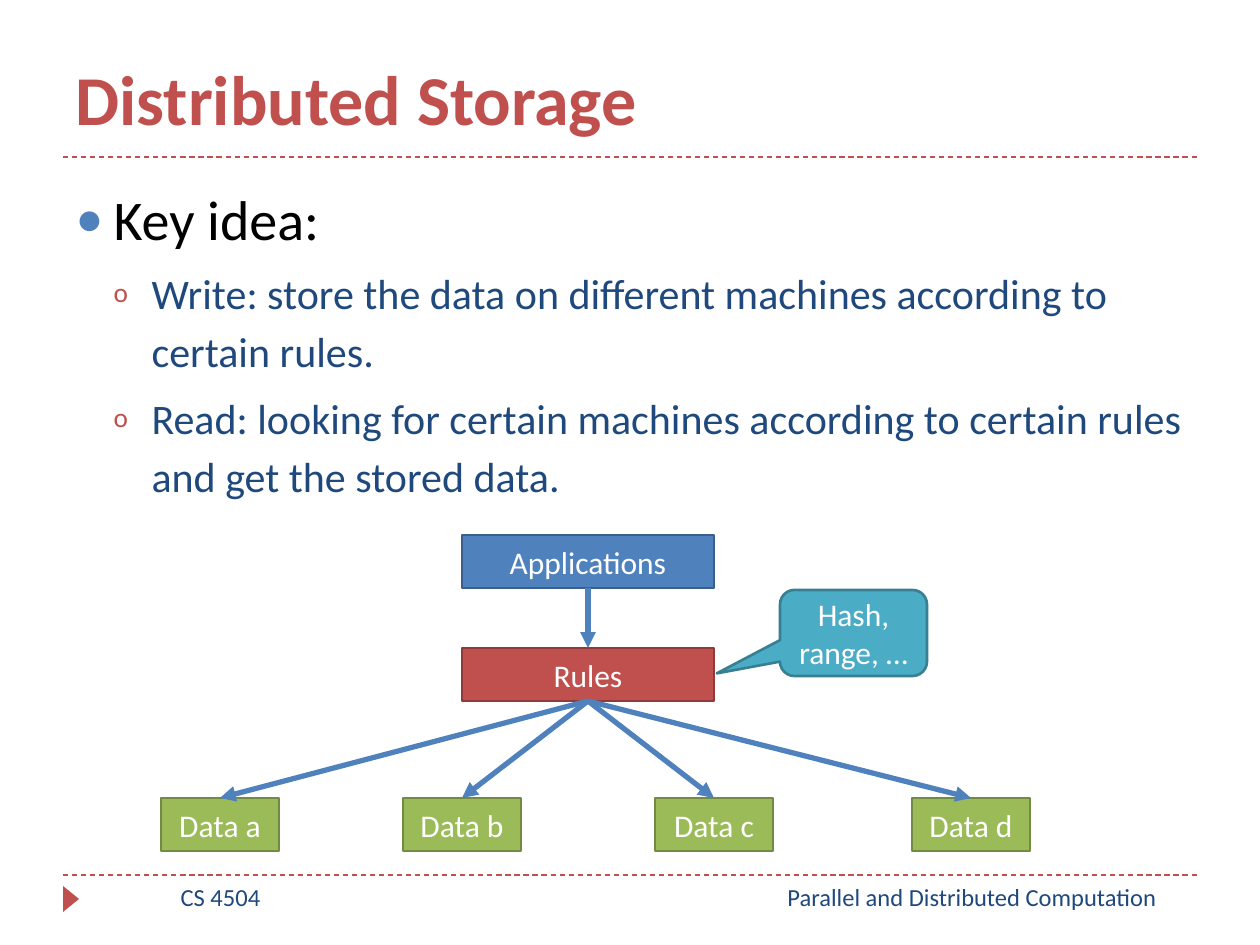
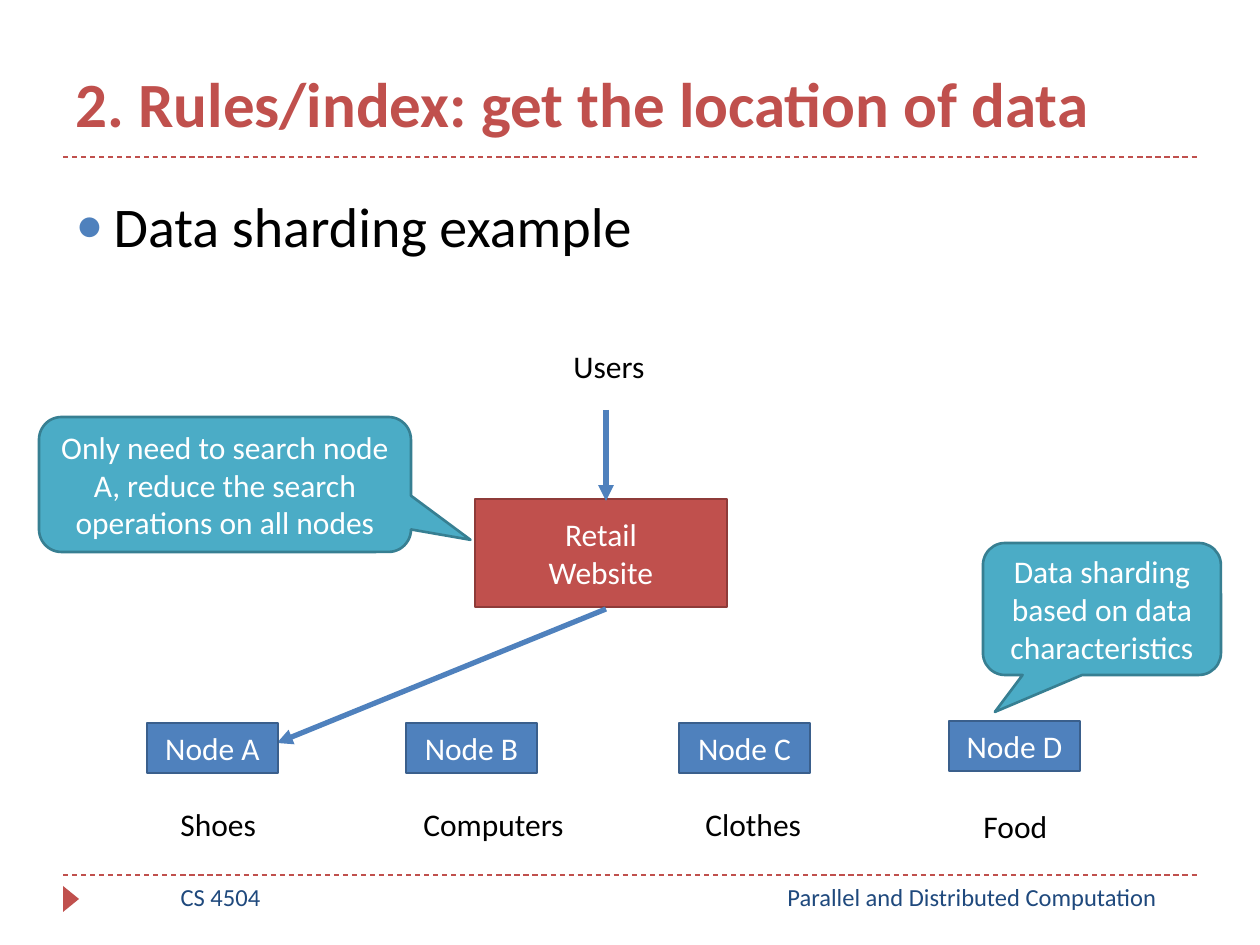
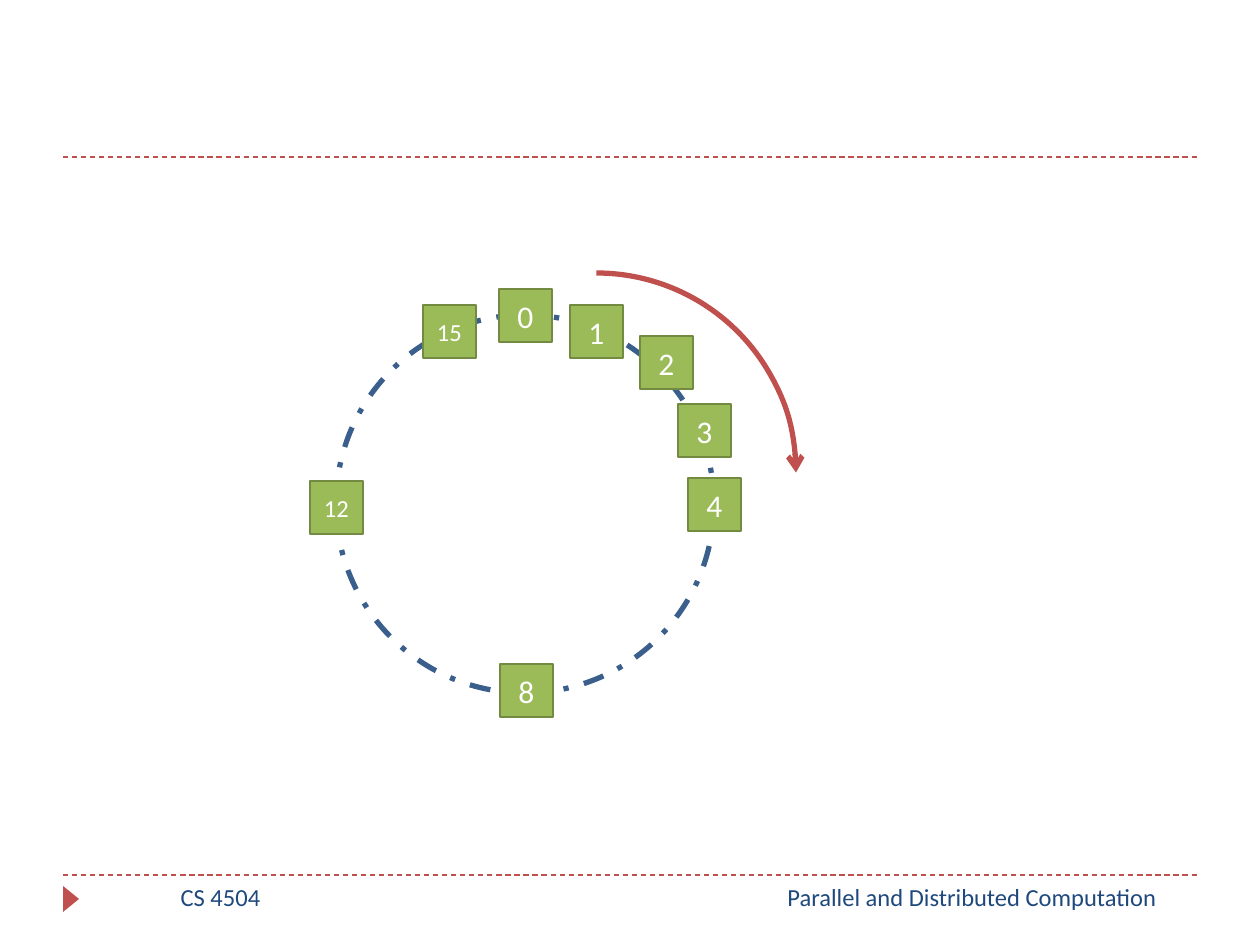
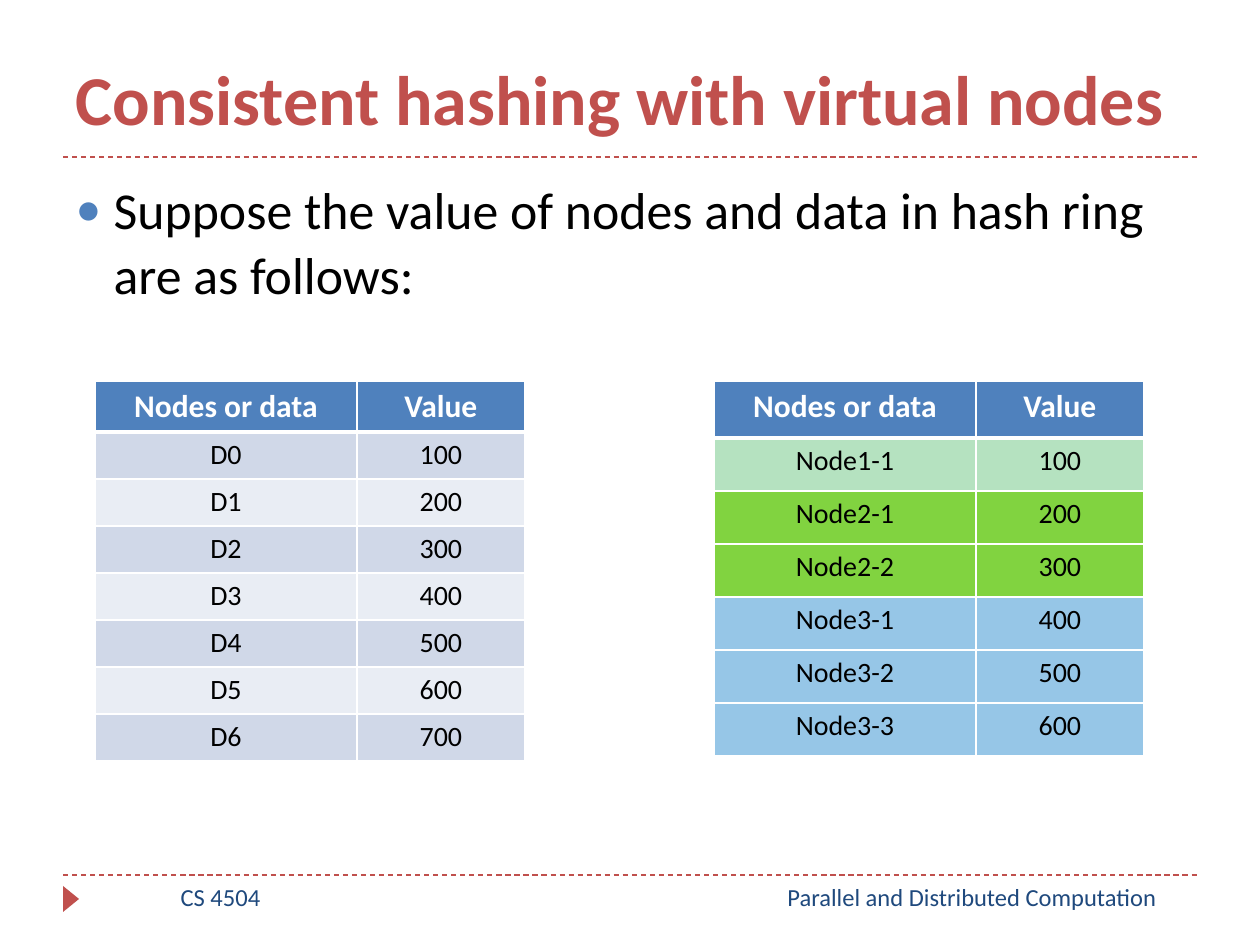
from dataclasses import dataclass
from typing import Any, NamedTuple

from lxml import etree
from pptx import Presentation, util as u
from pptx.dml.color import RGBColor
from pptx.enum import dml, shapes, text
from pptx.oxml import ns

PX_PER_INCH = 126
KIND = shapes.MSO_SHAPE


def px(length: float) -> int:
    """Turn px into EMU."""
    return round(length * 914400 / PX_PER_INCH)


# --- Theme -----------------------------------------------------------------
class Style(NamedTuple):
    fill: str
    outline: str


@dataclass(frozen=True)
class Theme:
    font: str = "Calibri"
    red: str = "C0504D"
    blue: str = "4F81BD"
    navy: str = "1F497D"
    black: str = "000000"
    white: str = "FFFFFF"
    blue_box: Style = Style("4F81BD", "3A5F8C")
    red_box: Style = Style("C0504D", "8E3B39")
    green_box: Style = Style("9BBB59", "738A42")
    teal_box: Style = Style("4BACC6", "377F92")
    bands: tuple[str, str] = ("D0D8E8", "E9EDF4")
    node_fills: tuple[str, str, str] = ("B5E2C0", "81D340", "96C6E7")
    title_size: float = 40
    long_title_size: float = 36
    bullet_size: float = 32
    long_bullet_size: float = 29.6
    sub_bullet_size: float = 24
    label_size: float = 18
    cell_size: float = 16
    small_size: float = 14
    outline_width: float = 1.5
    arrow_width: float = 3
    rule_width: float = 0.75


THEME = Theme()


# --- Repeated elements -----------------------------------------------------
class Frame(NamedTuple):
    left: int
    top: int
    width: int
    height: int

    def emu(self) -> list[int]:
        return [px(length) for length in self]


class Point(NamedTuple):
    x: int
    y: int


class Bullet(NamedTuple):
    words: str
    size: float
    level: int = 0


@dataclass(frozen=True)
class Box:
    words: str
    frame: Frame
    style: Style
    size: float = THEME.label_size
    kind: Any = KIND.RECTANGLE
    adjustments: tuple[float, ...] = ()


@dataclass(frozen=True)
class Label:
    words: str
    frame: Frame
    size: float = THEME.label_size
    color: str = THEME.black
    align: Any = text.PP_ALIGN.LEFT


@dataclass(frozen=True)
class ValueTable:
    left: int
    heights: tuple[int, int]  # header row, body row
    rows: list[tuple[str, str]]
    fills: list[str]


# --- Formatting helpers ----------------------------------------------------
def rgb(value: str) -> RGBColor:
    return RGBColor.from_string(value)


def assign(target: Any, values: dict[str, Any]) -> None:
    for name, value in values.items():
        setattr(target, name, value)


def add_xml(parent: Any, tag: str, **attributes: str) -> Any:
    child = etree.SubElement(parent, ns.qn(tag))
    for name, value in attributes.items():
        child.set(name, value)
    return child


def format_text(text_frame: Any, size: float, color: str, align: Any, bold: bool = False) -> None:
    for paragraph in text_frame.paragraphs:
        assign(paragraph, {"alignment": align, "space_before": u.Pt(0)})
        for run in paragraph.runs:
            assign(run.font, {"name": THEME.font, "size": u.Pt(size), "bold": bold})
            run.font.color.rgb = rgb(color)


def format_line(line: Any, color: str, width: float, dash: Any = None) -> None:
    line.color.rgb = rgb(color)
    assign(line, {"width": u.Pt(width), "dash_style": dash})


def add_arrowhead(shape: Any, head: str) -> None:
    add_xml(shape.line._get_or_add_ln(), "a:tailEnd", type=head)


# --- Drawing functions -----------------------------------------------------
def add_line(slide: Any, start: Point, end: Point, color: str, width: float, dash: Any = None) -> Any:
    ends = [px(value) for value in (*start, *end)]
    connector = slide.shapes.add_connector(shapes.MSO_CONNECTOR.STRAIGHT, *ends)
    format_line(connector.line, color, width, dash)
    add_xml(connector.element.spPr, "a:effectLst")
    return connector


def add_arrow(slide: Any, start: Point, end: Point) -> None:
    add_arrowhead(add_line(slide, start, end, THEME.blue, THEME.arrow_width), "triangle")


def add_plain_shape(slide: Any, kind: Any, frame: Frame, fill: str | None = None) -> Any:
    shape = slide.shapes.add_shape(kind, *frame.emu())
    shape.shadow.inherit = False
    if fill:
        shape.fill.solid()
        shape.fill.fore_color.rgb = rgb(fill)
    else:
        shape.fill.background()
    return shape


def add_box(slide: Any, box: Box) -> None:
    shape = add_plain_shape(slide, box.kind, box.frame, box.style.fill)
    format_line(shape.line, box.style.outline, THEME.outline_width)
    for index, value in enumerate(box.adjustments):
        shape.adjustments[index] = value
    assign(shape.text_frame, {"text": box.words, "word_wrap": True,
                              "vertical_anchor": text.MSO_ANCHOR.MIDDLE})
    format_text(shape.text_frame, box.size, THEME.white, text.PP_ALIGN.CENTER)


def add_callout(slide: Any, words: str, frame: Frame, tip: tuple[float, float]) -> None:
    add_box(slide, Box(words, frame, THEME.teal_box, kind=KIND.ROUNDED_RECTANGULAR_CALLOUT,
                       adjustments=(*tip, 0.167)))


def add_label(slide: Any, label: Label) -> None:
    text_frame = slide.shapes.add_textbox(*label.frame.emu()).text_frame
    assign(text_frame, {"text": label.words, "word_wrap": True})
    format_text(text_frame, label.size, label.color, label.align)


def place(placeholder: Any, frame: Frame) -> None:
    assign(placeholder, dict(zip(("left", "top", "width", "height"), frame.emu())))


def set_title(slide: Any, words: str, size: float) -> None:
    title = slide.shapes.title
    place(title, Frame(63, 10, 1134, 136))
    assign(title.text_frame, {"text": words, "word_wrap": True,
                              "auto_size": text.MSO_AUTO_SIZE.NONE,
                              "vertical_anchor": text.MSO_ANCHOR.BOTTOM})
    format_text(title.text_frame, size, THEME.red, text.PP_ALIGN.LEFT, bold=True)


def set_bullets(slide: Any, bullets: list[Bullet], height: int, spacing: float) -> None:
    body = slide.placeholders[1]
    place(body, Frame(63, 168, 1134, height))
    text_frame = body.text_frame
    assign(text_frame, {"text": "\n".join(bullet.words for bullet in bullets),
                        "word_wrap": True, "auto_size": text.MSO_AUTO_SIZE.NONE,
                        "vertical_anchor": text.MSO_ANCHOR.TOP})
    for index, (paragraph, bullet) in enumerate(zip(text_frame.paragraphs, bullets)):
        mark, mark_color, color, percent = (
            ("o", THEME.red, THEME.navy, "65000") if bullet.level
            else ("•", THEME.blue, THEME.black, "100000"))
        assign(paragraph, {"level": bullet.level, "line_spacing": spacing,
                           "alignment": text.PP_ALIGN.LEFT,
                           "space_before": u.Pt(5 if index else 0)})
        properties = paragraph._p.get_or_add_pPr()
        properties.set("marL", str(px(38 * (bullet.level + 1))))
        properties.set("indent", str(px(-38)))
        add_xml(add_xml(properties, "a:buClr"), "a:srgbClr", val=mark_color)
        add_xml(properties, "a:buSzPct", val=percent)
        add_xml(properties, "a:buFont", typeface=THEME.font)
        add_xml(properties, "a:buChar", char=mark)
        font = paragraph.runs[0].font
        assign(font, {"name": THEME.font, "size": u.Pt(bullet.size)})
        font.color.rgb = rgb(color)


def set_borders(cell: Any, top: float, bottom: float) -> None:
    properties = cell._tc.get_or_add_tcPr()
    widths = {"a:lnL": 1, "a:lnR": 1, "a:lnT": top, "a:lnB": bottom}
    for index, (tag, width) in enumerate(widths.items()):
        border = add_xml(properties, tag, w=str(u.Pt(width)))
        add_xml(add_xml(border, "a:solidFill"), "a:srgbClr", val=THEME.white)
        properties.insert(index, border)


def add_value_table(slide: Any, values: ValueTable) -> None:
    columns = (262, 168)
    header_height, row_height = values.heights
    rows = [("Nodes or data", "Value"), *values.rows]
    fills = [THEME.blue, *values.fills]
    frame = Frame(values.left, 381, sum(columns), header_height + row_height * len(values.rows))
    table = slide.shapes.add_table(len(rows), len(columns), *frame.emu()).table
    table.horz_banding = False
    for column, width in zip(table.columns, columns):
        column.width = px(width)
    for row_index, (row, fill) in enumerate(zip(rows, fills)):
        header = row_index == 0
        table.rows[row_index].height = px(header_height if header else row_height)
        for column_index, words in enumerate(row):
            cell = table.cell(row_index, column_index)
            cell.text = words
            cell.fill.solid()
            cell.fill.fore_color.rgb = rgb(fill)
            set_borders(cell, top=3 if row_index == 1 else 1, bottom=3 if header else 1)
            format_text(cell.text_frame, THEME.label_size if header else THEME.cell_size,
                        THEME.white if header else THEME.black, text.PP_ALIGN.CENTER, header)


# --- Shared parts ----------------------------------------------------------
def decorate_master(presentation: Any, slide: Any) -> None:
    """Draw the rules and the marker, then move them to the slide master."""
    parts = [add_line(slide, Point(63, y), Point(1197, y), THEME.red, THEME.rule_width,
                      dml.MSO_LINE.DASH) for y in (875, 157)]
    marker = add_plain_shape(slide, KIND.ISOSCELES_TRIANGLE, Frame(58, 891, 26, 16), THEME.red)
    marker.rotation = 90
    marker.line.fill.background()
    tree = presentation.slide_master.element.cSld.spTree
    for number, part in enumerate([*parts, marker], start=20):
        part.element.xpath(".//p:cNvPr")[0].set("id", str(number))
        tree.append(part.element)


def add_footers(slide: Any) -> None:
    for words, frame in (("Parallel and Distributed Computation", Frame(746, 876, 452, 50)),
                         ("CS 4504", Frame(84, 876, 273, 50))):
        add_label(slide, Label(words, frame, THEME.small_size, THEME.navy, text.PP_ALIGN.CENTER))


# --- Slides ----------------------------------------------------------------
def fill_storage(slide: Any) -> None:
    set_title(slide, "Distributed Storage", THEME.title_size)
    set_bullets(slide, [
        Bullet("Key idea:", THEME.bullet_size),
        Bullet("Write: store the data on different machines according to certain rules.",
               THEME.sub_bullet_size, 1),
        Bullet("Read: looking for certain machines according to certain rules and get "
               "the stored data.", THEME.sub_bullet_size, 1),
    ], height=357, spacing=1.15)
    add_box(slide, Box("Applications", Frame(462, 535, 252, 53), THEME.blue_box))
    add_box(slide, Box("Rules", Frame(462, 648, 252, 53), THEME.red_box))
    stores = [Box(f"Data {letter}", Frame(left, 798, 118, 53), THEME.green_box)
              for letter, left in zip("abcd", (161, 403, 655, 912))]
    for store in stores:
        add_box(slide, store)
    add_arrow(slide, Point(588, 588), Point(588, 648))
    for store in stores:
        add_arrow(slide, Point(588, 701),
                  Point(store.frame.left + store.frame.width // 2, store.frame.top))
    add_callout(slide, "Hash, range, …", Frame(780, 590, 147, 86), (-0.93, 0.47))


def fill_sharding(slide: Any) -> None:
    set_title(slide, "2. Rules/index: get the location of data", THEME.long_title_size)
    set_bullets(slide, [Bullet("Data sharding example", THEME.bullet_size)],
                height=126, spacing=1.25)
    add_box(slide, Box("Retail\nWebsite", Frame(475, 499, 252, 108), THEME.red_box))
    add_arrow(slide, Point(606, 609), Point(277, 743))
    add_arrow(slide, Point(606, 410), Point(606, 501))
    add_label(slide, Label("Users", Frame(561, 341, 117, 50)))
    # Each node with the goods it holds
    for letter, node_left, node_top, goods, goods_left, goods_top in (
            ("A", 147, 723, "Shoes", 168, 799),
            ("B", 406, 723, "Computers", 411, 799),
            ("C", 679, 723, "Clothes", 693, 799),
            ("D", 949, 721, "Food", 971, 801)):
        add_box(slide, Box(f"Node {letter}", Frame(node_left, node_top, 131, 50), THEME.blue_box))
        add_label(slide, Label(goods, Frame(goods_left, goods_top, 195, 50)))
    add_callout(slide, "Data sharding based on data characteristics",
                Frame(983, 543, 238, 132), (-0.45, 0.78))
    add_callout(slide, "Only need to search node A, reduce the search operations on all nodes",
                Frame(39, 417, 372, 135), (0.66, 0.41))


def fill_ring(slide: Any) -> None:
    ring = add_plain_shape(slide, KIND.OVAL, Frame(336, 315, 378, 378))
    format_line(ring.line, THEME.blue_box.outline, THEME.arrow_width, dml.MSO_LINE.DASH_DOT)
    for slot, left, top in ((0, 499, 289), (8, 500, 664), (4, 688, 478), (12, 310, 481),
                            (1, 570, 305), (2, 640, 336), (3, 678, 404), (15, 423, 305)):
        size = THEME.label_size if slot < 10 else THEME.small_size
        add_box(slide, Box(str(slot), Frame(left, top, 53, 53), THEME.green_box, size))
    direction = add_plain_shape(slide, KIND.ARC, Frame(397, 273, 399, 399))
    format_line(direction.line, THEME.red, THEME.arrow_width)
    add_arrowhead(direction, "arrow")


def fill_virtual_nodes(slide: Any) -> None:
    set_title(slide, "Consistent hashing with virtual nodes", THEME.title_size)
    set_bullets(slide, [Bullet("Suppose the value of nodes and data in hash ring are as follows:",
                               THEME.long_bullet_size)], height=147, spacing=1.05)
    data = [(f"D{index}", str(100 * (index + 1))) for index in range(7)]
    add_value_table(slide, ValueTable(95, (51, 47), data,
                                      [THEME.bands[index % 2] for index in range(7)]))
    # Node n has n virtual nodes
    copies = [(node, copy) for node in (1, 2, 3) for copy in range(1, node + 1)]
    nodes = [(f"Node{node}-{copy}", str(100 * value))
             for value, (node, copy) in enumerate(copies, start=1)]
    add_value_table(slide, ValueTable(714, (57, 53), nodes,
                                      [THEME.node_fills[node - 1] for node, _ in copies]))


def main() -> None:
    presentation = Presentation()
    assign(presentation, {"slide_width": px(1260), "slide_height": px(945)})
    content, blank = presentation.slide_layouts[1], presentation.slide_layouts[6]
    for layout, fill in ((content, fill_storage), (content, fill_sharding),
                         (blank, fill_ring), (content, fill_virtual_nodes)):
        slide = presentation.slides.add_slide(layout)
        if len(presentation.slides) == 1:
            decorate_master(presentation, slide)
        add_footers(slide)
        fill(slide)
    presentation.save("out.pptx")


if __name__ == "__main__":
    main()
